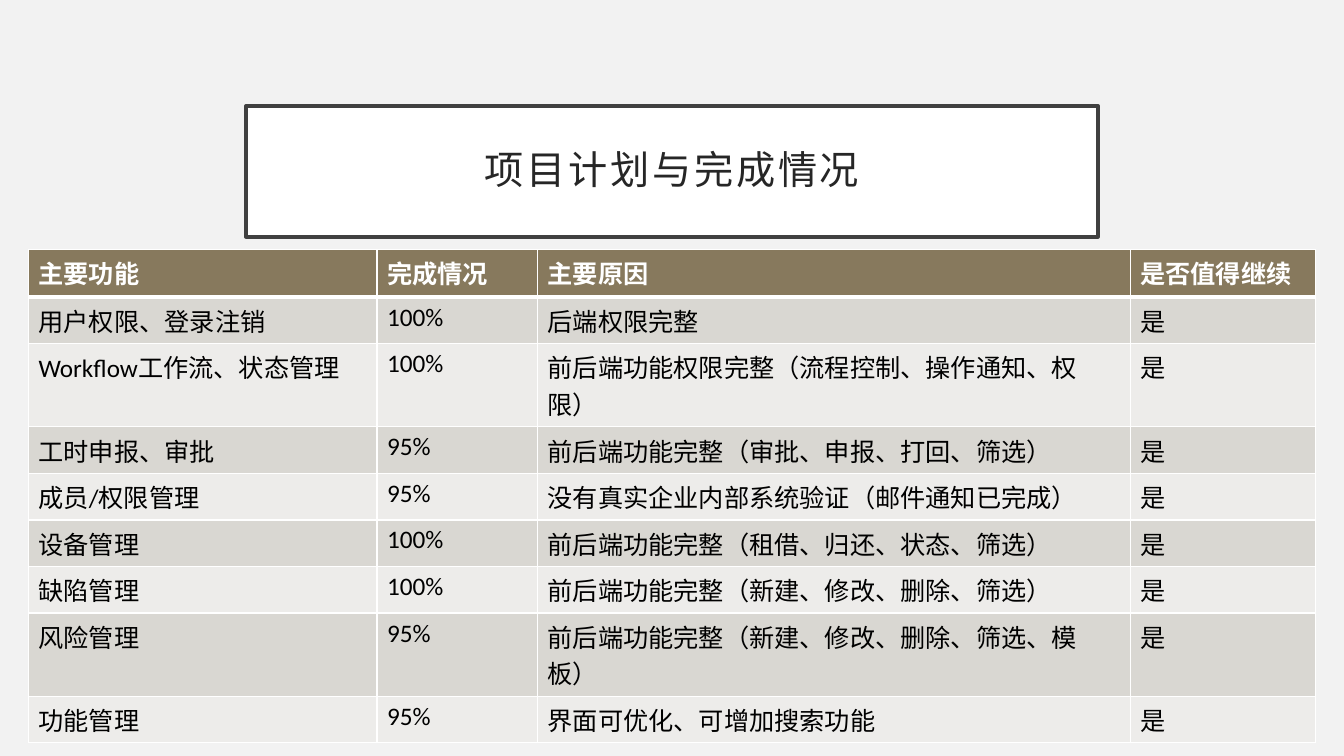
from lxml.etree import SubElement
from pptx import Presentation
from pptx.dml.color import RGBColor
from pptx.enum.text import MSO_ANCHOR, MSO_AUTO_SIZE, PP_ALIGN
from pptx.oxml.ns import qn
from pptx.util import Inches, Pt

HEADER = ("主要功能", "完成情况", "主要原因", "是否值得继续")
FEATURES = (
    ("用户权限、登录注销", "100%", "后端权限完整", "是"),
    ("Workflow工作流、状态管理", "100%", "前后端功能权限完整（流程控制、操作通知、权限）", "是"),
    ("工时申报、审批", "95%", "前后端功能完整（审批、申报、打回、筛选）", "是"),
    ("成员/权限管理", "95%", "没有真实企业内部系统验证（邮件通知已完成）", "是"),
    ("设备管理", "100%", "前后端功能完整（租借、归还、状态、筛选）", "是"),
    ("缺陷管理", "100%", "前后端功能完整（新建、修改、删除、筛选）", "是"),
    ("风险管理", "95%", "前后端功能完整（新建、修改、删除、筛选、模板）", "是"),
    ("功能管理", "95%", "界面可优化、可增加搜索功能", "是"),
)


def color(value):
    return RGBColor.from_string(value)


class SlideBuilder:
    font_name = "Calibri"
    background = "F2F2F2"
    white = "FFFFFF"
    frame = "404040"
    title_text = "262626"
    body_text = "000000"
    header_fill = "87795D"
    band_fills = ("EDECEA", "D9D7D2")

    def __init__(self, presentation):
        self.width = presentation.slide_width
        self.height = presentation.slide_height
        self.slide = presentation.slides.add_slide(presentation.slide_layouts[5])
        fill = self.slide.background.fill
        fill.solid()
        fill.fore_color.rgb = color(self.background)

    def across(self, percent):
        return round(self.width * percent / 100)

    def down(self, percent):
        return round(self.height * percent / 100)

    def add_run(self, paragraph, text, size, text_color, bold=False):
        run = paragraph.add_run()
        run.text = text
        run.font.name = self.font_name
        run.font.size = Pt(size)
        run.font.bold = bold
        run.font.color.rgb = color(text_color)
        return run

    def add_title(self, text, left, top, width, height):
        title = self.slide.shapes.title
        title.left, title.top = self.across(left), self.down(top)
        title.width, title.height = self.across(width), self.down(height)
        title.fill.solid()
        title.fill.fore_color.rgb = color(self.white)
        title.line.color.rgb = color(self.frame)
        title.line.width = Pt(2.5)
        frame = title.text_frame
        frame.word_wrap = True
        frame.auto_size = MSO_AUTO_SIZE.NONE
        frame.vertical_anchor = MSO_ANCHOR.MIDDLE
        frame.margin_left = frame.margin_right = Inches(0.2)
        frame.margin_top = frame.margin_bottom = Inches(0.2)
        paragraph = frame.paragraphs[0]
        paragraph.alignment = PP_ALIGN.CENTER
        paragraph.line_spacing = 0.9
        run = self.add_run(paragraph, text, 28, self.title_text)
        run.font._element.set("spc", "200")

    def add_borders(self, cell, top, bottom):
        properties = cell._tc.get_or_add_tcPr()
        for side, points in (("L", 1), ("R", 1), ("T", top), ("B", bottom)):
            border = SubElement(properties, qn(f"a:ln{side}"), w=str(Pt(points)))
            fill = SubElement(border, qn("a:solidFill"))
            SubElement(fill, qn("a:srgbClr"), val=self.white)

    def add_table(self, rows, left, top, column_widths, row_heights):
        table = self.slide.shapes.add_table(
            len(rows), len(column_widths), self.across(left), self.down(top),
            self.across(sum(column_widths)), self.down(sum(row_heights)),
        ).table
        for column, width in zip(table.columns, column_widths):
            column.width = self.across(width)
        for row, height in zip(table.rows, row_heights):
            row.height = self.down(height)
        for row_index, texts in enumerate(rows):
            is_header = row_index == 0
            fill = self.header_fill if is_header else self.band_fills[row_index % 2]
            text_color = self.white if is_header else self.body_text
            for column_index, text in enumerate(texts):
                cell = table.cell(row_index, column_index)
                self.add_borders(cell, 3 if row_index == 1 else 1, 3 if is_header else 1)
                cell.fill.solid()
                cell.fill.fore_color.rgb = color(fill)
                paragraph = cell.text_frame.paragraphs[0]
                self.add_run(paragraph, text, 18, text_color, is_header)


def main():
    presentation = Presentation()
    presentation.slide_width = Inches(13.33)
    presentation.slide_height = Inches(7.5)
    builder = SlideBuilder(presentation)
    builder.add_title("项目计划与完成情况", 18.3, 14, 63.4, 17.33)
    builder.add_table(
        (HEADER, *FEATURES), 2.12, 32.97,
        (25.93, 11.95, 44.1, 13.77), (6.33, *[6.13] * len(FEATURES)),
    )
    presentation.save("out.pptx")


if __name__ == "__main__":
    main()
